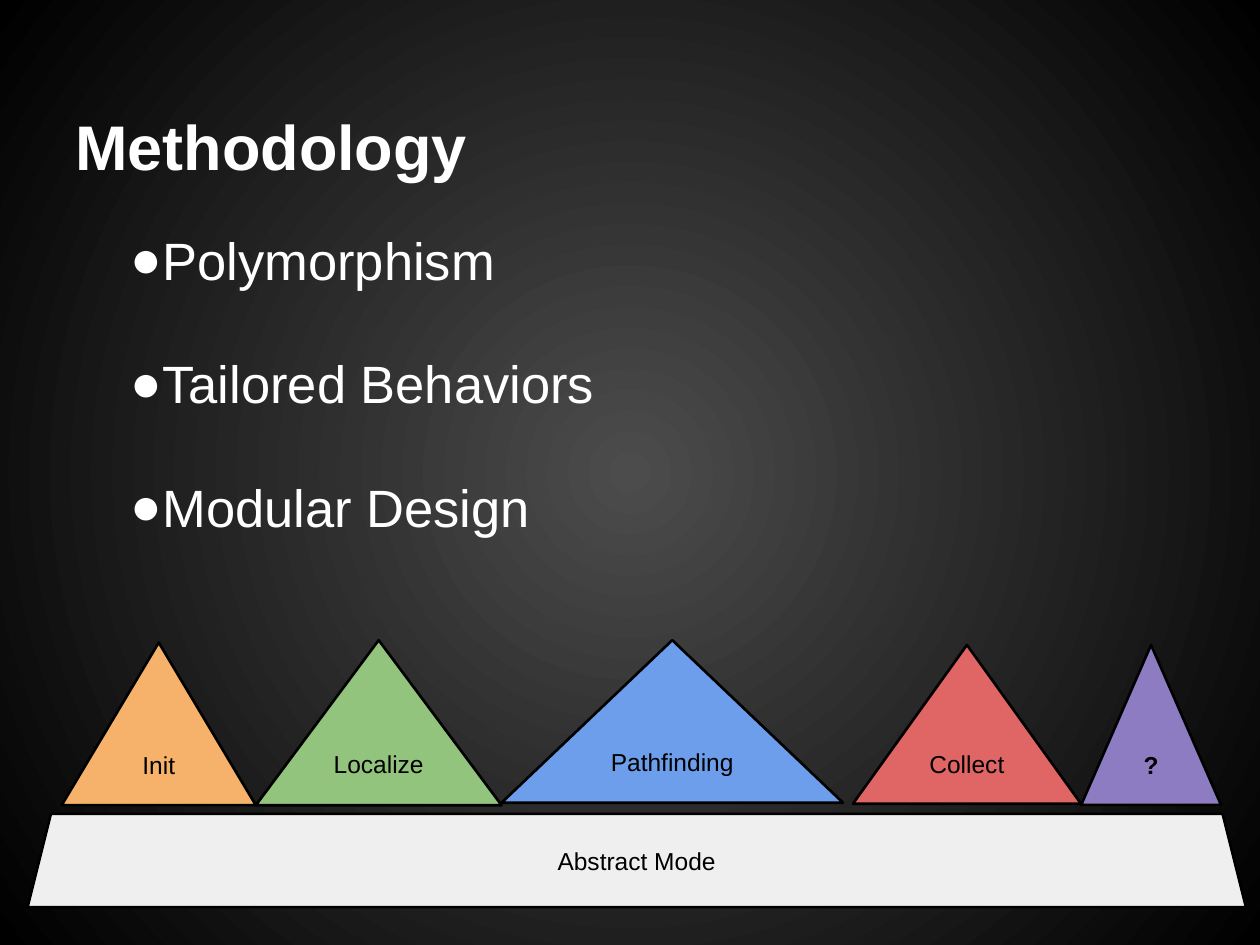
from dataclasses import dataclass

from lxml.etree import SubElement
from pptx import Presentation
from pptx.dml.color import RGBColor
from pptx.enum.shapes import MSO_SHAPE
from pptx.enum.text import MSO_ANCHOR, PP_ALIGN
from pptx.oxml.ns import qn
from pptx.util import Pt

FONT = "Arial"
INSET = 7.2
COLORS = {
    "glow": "4C4C4C", "black": "000000", "white": "FFFFFF", "base": "EFEFEF",
    "orange": "F6B26B", "green": "93C47D", "blue": "6D9EEB",
    "red": "E06666", "purple": "8E7CC3",
}


@dataclass
class Block:
    label: str
    color: str
    left: float
    top: float
    width: float
    height: float
    kind: MSO_SHAPE = MSO_SHAPE.FLOWCHART_EXTRACT
    bold: bool = False


BLOCKS = [
    Block("Init", "orange", 35.3, 367.2, 110.9, 92.9),
    Block("Abstract Mode", "base", 15.8, 465.1, 696.2, 53.3, MSO_SHAPE.TRAPEZOID),
    Block("Collect", "red", 487.4, 368.6, 130.3, 90.7),
    Block("Localize", "green", 146.2, 365.8, 140.4, 94.3),
    Block("Pathfinding", "blue", 286.6, 365.8, 195.1, 92.9),
    Block("?", "purple", 617.8, 368.6, 79.9, 91.4, bold=True),
]
BULLETS = ["Polymorphism", "Tailored Behaviors", "Modular Design"]


def rgb(name: str) -> RGBColor:
    return RGBColor.from_string(COLORS[name])


def setup_frame(tf, anchor: MSO_ANCHOR) -> None:
    tf.word_wrap = True
    tf.vertical_anchor = anchor
    tf.margin_left = tf.margin_right = tf.margin_top = tf.margin_bottom = Pt(INSET)


def add_run(p, text: str, size: float, color: str, bold: bool = False) -> None:
    r = p.add_run()
    r.text = text
    r.font.name = FONT
    r.font.size = Pt(size)
    r.font.bold = bold
    r.font.color.rgb = rgb(color)


def add_bullet(p, color: str) -> None:
    pPr = p._p.get_or_add_pPr()
    pPr.set("marL", str(Pt(36)))
    pPr.set("indent", str(Pt(-18)))
    clr = SubElement(pPr, qn("a:buClr"))
    SubElement(clr, qn("a:srgbClr"), val=COLORS[color])
    SubElement(pPr, qn("a:buFont"), typeface=FONT)
    SubElement(pPr, qn("a:buChar"), char="●")


def set_background(s) -> None:
    fill = s.background.fill
    fill.gradient()
    for stop, name in zip(fill.gradient_stops, ("glow", "black")):
        stop.color.rgb = rgb(name)
    # Turn the linear gradient into a circular one about the centre
    grad = s.element.find(".//" + qn("a:gradFill"))
    grad.remove(grad.find(qn("a:lin")))
    circle = SubElement(grad, qn("a:path"), path="circle")
    SubElement(circle, qn("a:fillToRect"), l="50000", t="50000", r="50000", b="50000")


def add_block(s, block: Block) -> None:
    sp = s.shapes.add_shape(block.kind, Pt(block.left), Pt(block.top),
                            Pt(block.width), Pt(block.height))
    sp.shadow.inherit = False
    sp.fill.solid()
    sp.fill.fore_color.rgb = rgb(block.color)
    sp.line.color.rgb = rgb("black")
    sp.line.width = Pt(1.5)
    setup_frame(sp.text_frame, MSO_ANCHOR.MIDDLE)
    p = sp.text_frame.paragraphs[0]
    p.alignment = PP_ALIGN.CENTER
    add_run(p, block.label, 14, "black", block.bold)


def main() -> None:
    prs = Presentation()
    prs.slide_width, prs.slide_height = Pt(720), Pt(540)
    s = prs.slides.add_slide(prs.slide_layouts[6])
    set_background(s)

    # Title
    tf = s.shapes.add_textbox(Pt(36), Pt(21.6), Pt(648), Pt(90)).text_frame
    setup_frame(tf, MSO_ANCHOR.BOTTOM)
    add_run(tf.paragraphs[0], "Methodology", 36, "white", bold=True)

    # Bullet list
    tf = s.shapes.add_textbox(Pt(49.7), Pt(123.1), Pt(332.6), Pt(223.9)).text_frame
    setup_frame(tf, MSO_ANCHOR.TOP)
    for i, text in enumerate(BULLETS):
        p = tf.add_paragraph() if i else tf.paragraphs[0]
        p.space_before = Pt(34.5 if i else 0)
        add_bullet(p, "white")
        add_run(p, text, 30, "white")

    # Behaviour triangles and their common base
    for block in BLOCKS:
        add_block(s, block)

    prs.save("out.pptx")


if __name__ == "__main__":
    main()
